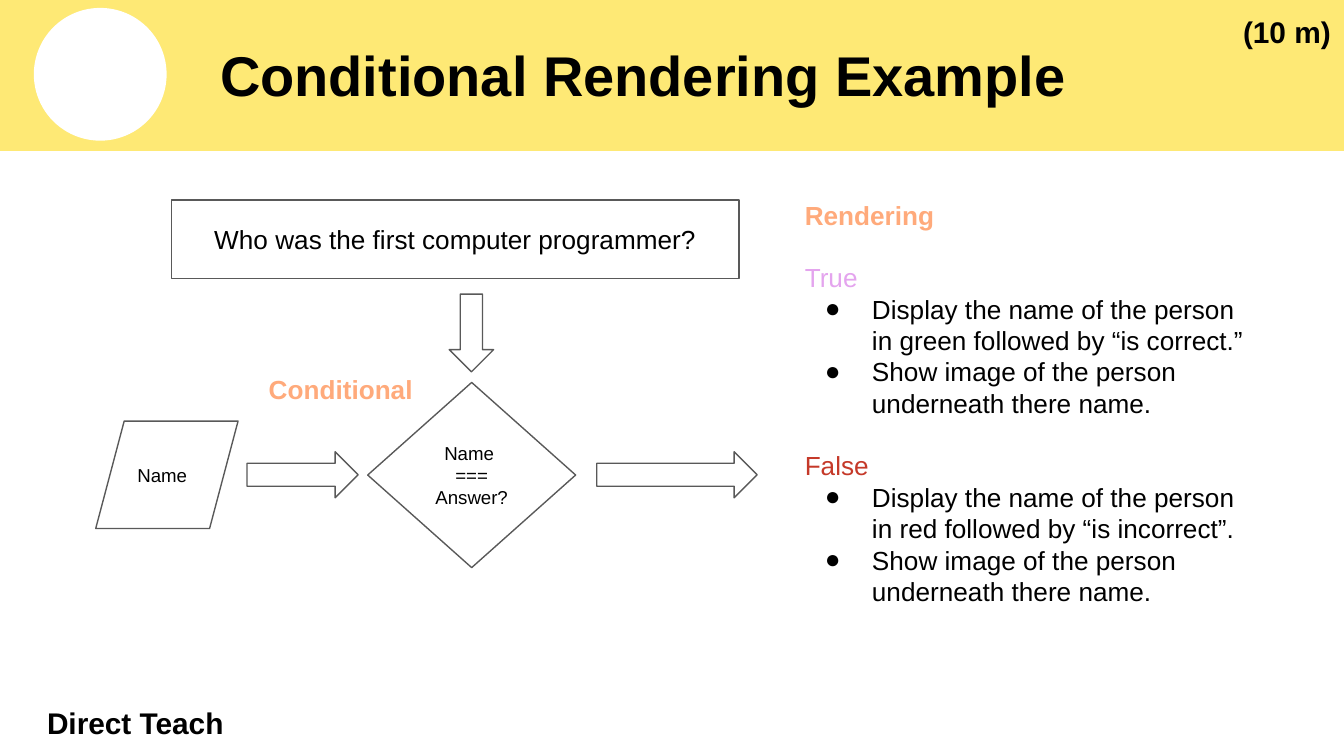
from lxml import etree
from pptx import Presentation
from pptx import util as u
from pptx.dml.color import RGBColor
from pptx.enum import shapes, text
from pptx.oxml.ns import qn

BLACK = RGBColor(0x00, 0x00, 0x00)
WHITE = RGBColor(0xFF, 0xFF, 0xFF)
YELLOW = RGBColor(0xFE, 0xE9, 0x75)
GRAY = RGBColor(0x59, 0x59, 0x59)
ORANGE = RGBColor(0xFF, 0xAA, 0x7B)
VIOLET = RGBColor(0xE4, 0xA4, 0xEE)
RED = RGBColor(0xC5, 0x39, 0x29)

FONT = "Arial"
INSET = u.Cm(0.25)
BODY_SIZE = 14
SECTION_GAP = u.Pt(16.8)  # one line of body text

KIND = shapes.MSO_SHAPE
ALIGN = text.PP_ALIGN
ANCHOR = text.MSO_ANCHOR

# Content: boxes are left, top, width, height in centimetres
BAND = (0, -0.03, 25.4, 2.87)
CIRCLE = (0.64, 0.15, 2.51, 2.51)

# text, box, size, colour, alignment, anchor
LABELS = [
    ("Conditional Rendering Example", (3.91, 0.15, 20.83, 2.51), 30, BLACK,
     ALIGN.LEFT, ANCHOR.MIDDLE),
    ("Direct Teach", (0.64, 13.34, 7.62, 0.64), 16, BLACK, ALIGN.LEFT, ANCHOR.MIDDLE),
    ("Conditional", (4.83, 6.81, 3.3, 1.35), 14, ORANGE, ALIGN.LEFT, ANCHOR.TOP),
    ("(10 m)", (19.56, 0, 5.84, 1.55), 16, BLACK, ALIGN.RIGHT, ANCHOR.TOP),
]

# kind, box, lines, size, alignment
FLOW = [
    (KIND.FLOWCHART_PROCESS, (3.24, 3.78, 10.73, 1.48),
     ["Who was the first computer programmer?"], 14, ALIGN.CENTER),
    (KIND.DOWN_ARROW, (8.49, 5.56, 0.84, 1.47), [], 10, ALIGN.CENTER),
    (KIND.FLOWCHART_DECISION, (6.95, 7.23, 3.93, 3.5),
     ["Name ", "===", "Answer?"], 10, ALIGN.CENTER),
    (KIND.FLOWCHART_DATA, (1.81, 7.96, 2.69, 2.03), ["Name"], 10, ALIGN.LEFT),
    (KIND.RIGHT_ARROW, (4.67, 8.54, 2.1, 0.87), [], 10, ALIGN.CENTER),
    (KIND.RIGHT_ARROW, (11.28, 8.54, 3.03, 0.87), [], 10, ALIGN.CENTER),
]

OUTCOME_BOX = (14.96, 3.51, 8.99, 9.3)
OUTCOME_HEADING = "Rendering"
OUTCOMES = [
    ("True", VIOLET, [
        "Display the name of the person in green followed by “is correct.”",
        "Show image of the person underneath there name."]),
    ("False", RED, [
        "Display the name of the person in red followed by “is incorrect”.",
        "Show image of the person underneath there name."]),
]


def place(box):
    return [u.Cm(length) for length in box]


def set_frame(shape, anchor):
    frame = shape.text_frame
    frame.word_wrap = True
    frame.vertical_anchor = anchor
    frame.margin_left = frame.margin_right = INSET
    frame.margin_top = frame.margin_bottom = INSET
    return frame


def write(frame, words, size, color, bold=False, align=ALIGN.LEFT):
    """Fill the first paragraph if it is still empty, else add one."""
    last = frame.paragraphs[-1]
    paragraph = frame.add_paragraph() if last.runs else last
    paragraph.alignment = align
    run = paragraph.add_run()
    run.text = words
    run.font.name = FONT
    run.font.size = u.Pt(size)
    run.font.bold = bold
    run.font.color.rgb = color
    return paragraph


def add_bullet(paragraph):
    properties = paragraph._p.get_or_add_pPr()
    properties.set("marL", str(u.Cm(1.27)))
    properties.set("indent", str(u.Cm(-0.89)))
    color = etree.SubElement(properties, qn("a:buClr"))
    etree.SubElement(color, qn("a:srgbClr"), val=str(BLACK))
    etree.SubElement(properties, qn("a:buFont"), typeface=FONT)
    etree.SubElement(properties, qn("a:buChar"), char="●")


def add_shape(slide, kind, box, fill=None, line=None):
    shape = slide.shapes.add_shape(kind, *place(box))
    shape.shadow.inherit = False
    if fill is None:
        shape.fill.background()
    else:
        shape.fill.solid()
        shape.fill.fore_color.rgb = fill
    if line is None:
        shape.line.fill.background()
    else:
        shape.line.color.rgb = line
        shape.line.width = u.Pt(0.75)
    return shape


def main():
    presentation = Presentation()
    presentation.slide_width = u.Cm(25.4)
    presentation.slide_height = u.Cm(14.29)
    slide = presentation.slides.add_slide(presentation.slide_layouts[6])

    # Header band
    add_shape(slide, KIND.RECTANGLE, BAND, YELLOW, YELLOW)
    add_shape(slide, KIND.OVAL, CIRCLE, WHITE)

    # Flowchart
    for kind, box, lines, size, align in FLOW:
        shape = add_shape(slide, kind, box, line=GRAY)
        frame = set_frame(shape, ANCHOR.MIDDLE)
        for words in lines:
            write(frame, words, size, BLACK, align=align)

    # Title and labels
    for words, box, size, color, align, anchor in LABELS:
        frame = set_frame(slide.shapes.add_textbox(*place(box)), anchor)
        write(frame, words, size, color, True, align)

    # Outcomes
    frame = set_frame(slide.shapes.add_textbox(*place(OUTCOME_BOX)), ANCHOR.TOP)
    write(frame, OUTCOME_HEADING, BODY_SIZE, ORANGE, True)
    for name, color, actions in OUTCOMES:
        write(frame, name, BODY_SIZE, color).space_before = SECTION_GAP
        for action in actions:
            add_bullet(write(frame, action, BODY_SIZE, BLACK))

    presentation.save("out.pptx")


if __name__ == "__main__":
    main()
